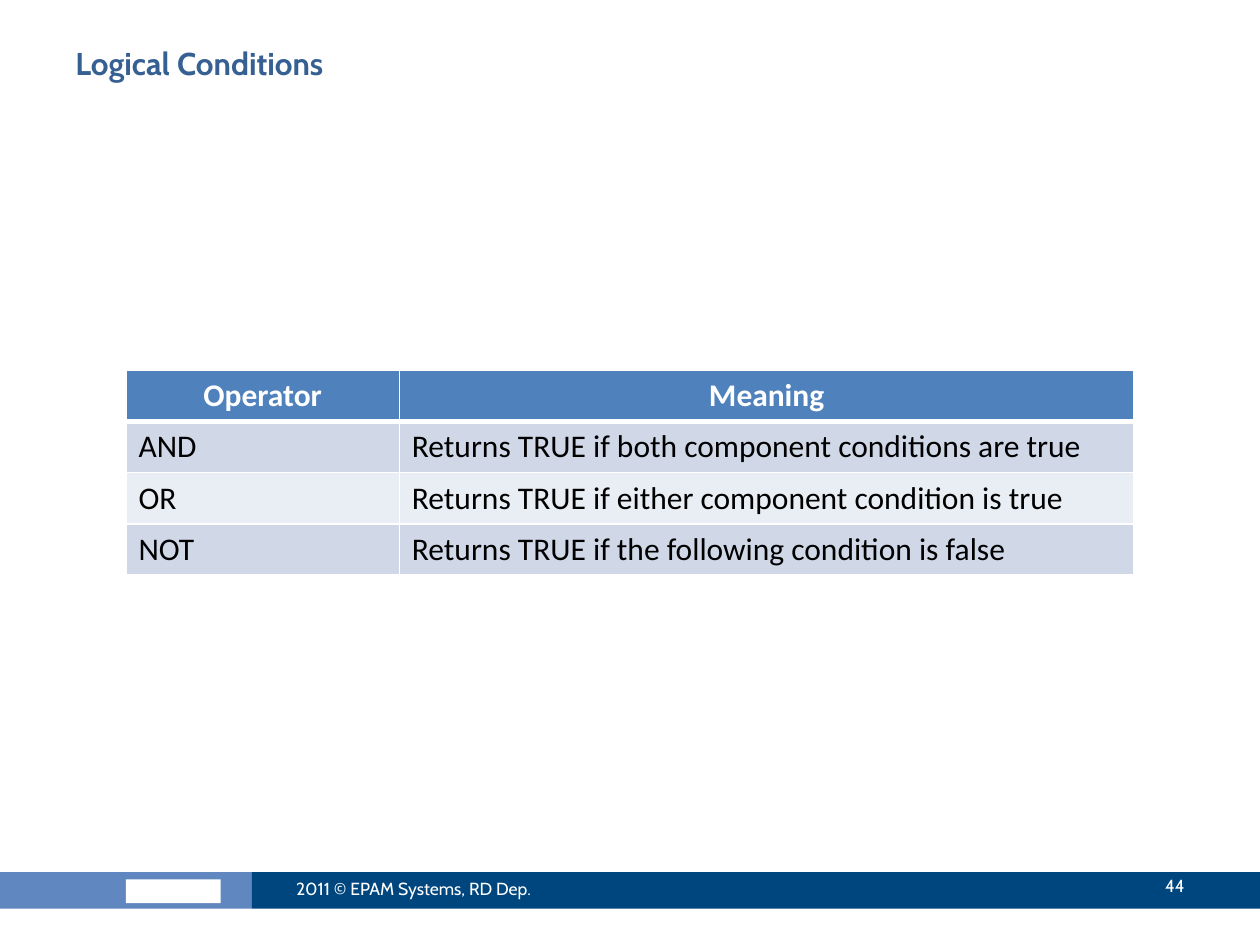
import pptx
import pptx.dml.color
import pptx.enum.shapes
import pptx.enum.text
import pptx.oxml
import pptx.oxml.ns
import pptx.util
from pptx.util import Cm

PP_ALIGN = pptx.enum.text.PP_ALIGN
ANCHOR = pptx.enum.text.MSO_ANCHOR


def color(hex_string):
    return pptx.dml.color.RGBColor.from_string(hex_string)


def write(text_frame, text, font_name, size, hex_string, bold=False, align=PP_ALIGN.LEFT):
    text_frame.text = text
    paragraph = text_frame.paragraphs[0]
    paragraph.alignment = align
    font = paragraph.runs[0].font
    font.name = font_name
    font.size = pptx.util.Pt(size)
    font.bold = bold
    font.color.rgb = color(hex_string)


presentation = pptx.Presentation()
presentation.slide_width = Cm(25.4)
presentation.slide_height = Cm(19.05)
slide = presentation.slides.add_slide(presentation.slide_layouts[6])

# Footer bands, with a plain block in the logo's place
for left, top, width, height, fill in [
    (0, 17.58, 5.08, 0.74, "6087BF"),
    (2.54, 17.73, 1.91, 0.48, "FFFFFF"),
    (5.08, 17.58, 20.32, 0.74, "00467E"),
]:
    shape = slide.shapes.add_shape(
        pptx.enum.shapes.MSO_SHAPE.RECTANGLE, Cm(left), Cm(top), Cm(width), Cm(height)
    )
    shape.shadow.inherit = False
    shape.fill.solid()
    shape.fill.fore_color.rgb = color(fill)
    shape.line.fill.background()

# Title and footer texts
for text, left, top, width, height, size, text_color, bold, align, anchor in [
    ("Logical Conditions", 1.27, 0.76, 22.86, 1.98, 18, "376092", True, PP_ALIGN.LEFT, ANCHOR.TOP),
    ("2011 © EPAM Systems, RD Dep.", 5.72, 17.4, 6.78, 1.02, 10, "FFFFFF", False, PP_ALIGN.LEFT, ANCHOR.MIDDLE),
    ("44", 21.39, 17.35, 2.74, 1.02, 10, "FFFFFF", False, PP_ALIGN.RIGHT, ANCHOR.MIDDLE),
]:
    text_box = slide.shapes.add_textbox(Cm(left), Cm(top), Cm(width), Cm(height))
    text_box.text_frame.word_wrap = True
    text_box.text_frame.vertical_anchor = anchor
    write(text_box.text_frame, text, "Cabin", size, text_color, bold, align)

# Operator table
rows = [
    ("Operator", "Meaning"),
    ("AND", "Returns TRUE if both component conditions are true"),
    ("OR", "Returns TRUE if either component condition is true"),
    ("NOT", "Returns TRUE if the following condition is false"),
]
row_fills = ["4F81BD", "D0D8E8", "E9EDF4", "D0D8E8"]
table = slide.shapes.add_table(len(rows), 2, Cm(2.54), Cm(7.47), Cm(20.32), Cm(4.12)).table
table.columns[0].width = Cm(5.51)
table.columns[1].width = Cm(14.81)

for row_index, (texts, fill) in enumerate(zip(rows, row_fills)):
    table.rows[row_index].height = Cm(1.03)
    header = row_index == 0
    for column_index, text in enumerate(texts):
        cell = table.cell(row_index, column_index)
        write(
            cell.text_frame, text, "Calibri", 18,
            "FFFFFF" if header else "000000", header,
            PP_ALIGN.CENTER if header else PP_ALIGN.LEFT,
        )
        cell.fill.solid()
        cell.fill.fore_color.rgb = color(fill)
        # Borders come before the fill in the cell properties
        properties = cell._tc.get_or_add_tcPr()
        for position, side in enumerate(["lnL", "lnR", "lnT", "lnB"]):
            thick = (row_index, side) in [(0, "lnB"), (1, "lnT")]
            border = pptx.oxml.parse_xml(
                f'<a:{side} {pptx.oxml.ns.nsdecls("a")} w="{pptx.util.Pt(3 if thick else 1)}">'
                f'<a:solidFill><a:srgbClr val="FFFFFF"/></a:solidFill></a:{side}>'
            )
            properties.insert(position, border)

presentation.save("out.pptx")
